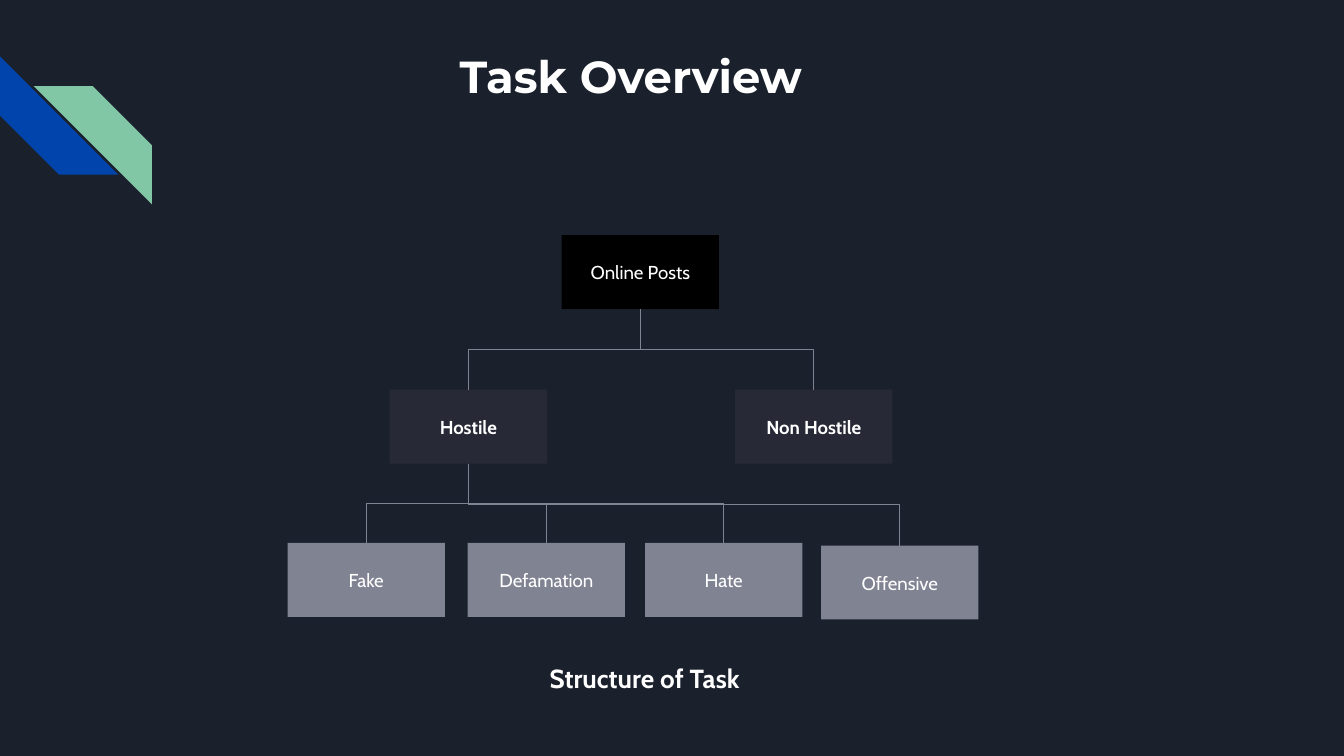
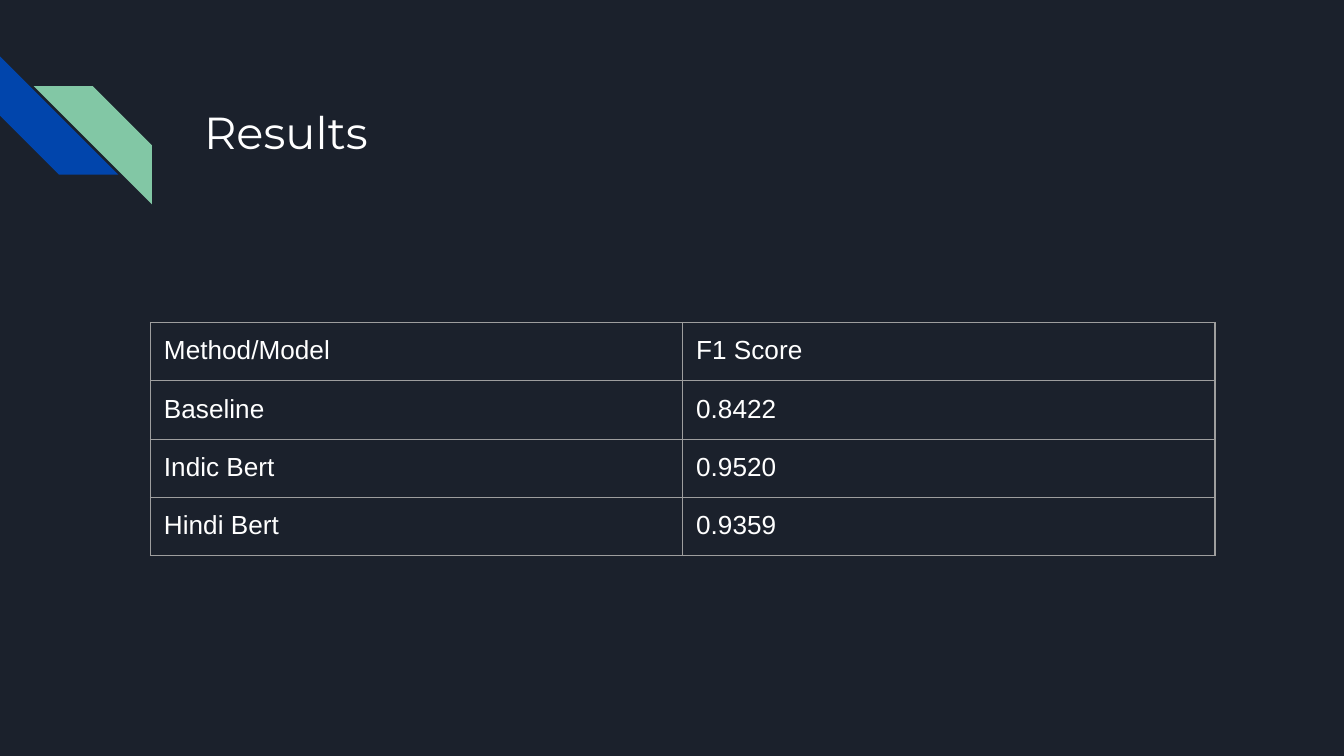
import pptx
import pptx.util
import pptx.dml.color
import pptx.enum.shapes
import pptx.enum.text
import pptx.oxml
import pptx.oxml.ns

Inches = pptx.util.Inches
Pt = pptx.util.Pt
SHAPE = pptx.enum.shapes.MSO_SHAPE
qn = pptx.oxml.ns.qn

NAVY, BLUE, GREEN = "1B212C", "0145AC", "82C7A5"
WHITE, BLACK, SLATE, GREY = "FFFFFF", "000000", "272A36", "808392"
BORDER = "9E9E9E"


def rgb(color):
    return pptx.dml.color.RGBColor.from_string(color)


def add_text(shapes, text, x, y, w, h, font, size, bold=False, left=0.1, fill=None):
    """Add a text box, or a filled, centred rectangle when a fill is given."""
    box = (Inches(x), Inches(y), Inches(w), Inches(h))
    if fill:
        sp = shapes.add_shape(SHAPE.RECTANGLE, *box)
        sp.shadow.inherit = False
        sp.fill.solid()
        sp.fill.fore_color.rgb = rgb(fill)
        sp.line.fill.background()
    else:
        sp = shapes.add_textbox(*box)
    tf = sp.text_frame
    tf.word_wrap = True
    tf.margin_left = Inches(left)
    tf.margin_right = tf.margin_top = tf.margin_bottom = Inches(0.1)
    p = tf.paragraphs[0]
    p.text = text
    p.font.name, p.font.size, p.font.bold = font, Pt(size), bold
    p.font.color.rgb = rgb(WHITE)
    if fill:
        tf.vertical_anchor = pptx.enum.text.MSO_ANCHOR.MIDDLE
        p.alignment = pptx.enum.text.PP_ALIGN.CENTER
    return sp


prs = pptx.Presentation()
prs.slide_width, prs.slide_height = Inches(10), Inches(5.625)
background = prs.slide_master.background.fill
background.solid()
background.fore_color.rgb = rgb(NAVY)

# Shared parts: corner stripes and title
titles = [
    # text, x, y, w, h, bold, left inset
    ("Task Overview", 1.14, 0.26, 8.49, 1.17, True, 2.28),
    ("Results", 1.42, 0.68, 7.7, 1, False, 0.1),
]
slides = []
for text, x, y, w, h, bold, left in titles:
    s = prs.slides.add_slide(prs.slide_layouts[6])
    slides.append(s)
    for stripe_x, stripe_y, color in [(0, 0.42, BLUE), (0.25, 0.64, GREEN)]:
        sp = s.shapes.add_shape(SHAPE.DIAGONAL_STRIPE, Inches(stripe_x),
                                Inches(stripe_y), Inches(0.88), Inches(0.88))
        sp.shadow.inherit = False
        sp.fill.solid()
        sp.fill.fore_color.rgb = rgb(color)
        sp.line.fill.background()
        if color == BLUE:
            sp.rotation = 270
        else:
            sp._element.spPr.find(qn("a:xfrm")).set("flipH", "1")
    add_text(s.shapes, text, x, y, w, h, "Montserrat", 24, bold, left)
overview, results = slides

# Slide 1: tree of post classes
BOX_W, BOX_H = 1.17, 0.55
nodes = {
    # name: (x, y, fill, bold, parent)
    "Online Posts": (4.18, 1.75, BLACK, False, None),
    "Hostile": (2.9, 2.9, SLATE, True, "Online Posts"),
    "Non Hostile": (5.47, 2.9, SLATE, True, "Online Posts"),
    "Fake": (2.14, 4.04, GREY, False, "Hostile"),
    "Defamation": (3.48, 4.04, GREY, False, "Hostile"),
    "Hate": (4.8, 4.04, GREY, False, "Hostile"),
    "Offensive": (6.11, 4.06, GREY, False, "Hostile"),
}
for name, (x, y, fill, bold, parent) in nodes.items():
    add_text(overview.shapes, name, x, y, BOX_W, BOX_H, "Cabin", 10, bold, fill=fill)
    if parent is None:
        continue
    # An elbow turned by 90 degrees leaves the parent downwards
    parent_x, parent_y = nodes[parent][:2]
    dx, dy = x - parent_x, y - parent_y - BOX_H
    mid_x, mid_y = parent_x + BOX_W / 2 + dx / 2, y - dy / 2
    cxn = overview.shapes.add_connector(
        pptx.enum.shapes.MSO_CONNECTOR.ELBOW,
        Inches(mid_x - dy / 2), Inches(mid_y + dx / 2),
        Inches(mid_x + dy / 2), Inches(mid_y - dx / 2))
    cxn.line.color.rgb = rgb(GREY)
    cxn.line.width = Pt(0.75)
    spPr = cxn._element.spPr
    spPr.find(qn("a:xfrm")).set("rot", "5400000")
    spPr.append(pptx.oxml.parse_xml(
        f'<a:effectLst {pptx.oxml.ns.nsdecls("a")}/>'))

caption = add_text(overview.shapes, "Structure of Task", 2.97, 4.83, 3.86, 0.44,
                   "Cabin", 14, True, 1.12)
caption.text_frame.auto_size = pptx.enum.text.MSO_AUTO_SIZE.SHAPE_TO_FIT_TEXT

# Slide 2: table of scores
rows = [
    ("Method/Model", "F1 Score"),
    ("Baseline", "0.8422"),
    ("Indic Bert", "0.9520"),
    ("Hindi Bert", "0.9359"),
]
table = results.shapes.add_table(len(rows), 2, Inches(1.12), Inches(2.4),
                                 Inches(7.92), Inches(0.42 * len(rows))).table
table.first_row = table.horz_banding = False
for i, row in enumerate(rows):
    for j, text in enumerate(row):
        cell = table.cell(i, j)
        cell.margin_left = cell.margin_right = Inches(0.1)
        cell.margin_top = cell.margin_bottom = Inches(0.1)
        p = cell.text_frame.paragraphs[0]
        p.text = text
        p.font.name, p.font.size = "Arial", Pt(14)
        p.font.color.rgb = rgb(WHITE)
        tcPr = cell._tc.get_or_add_tcPr()
        for side in ("lnL", "lnR", "lnT", "lnB"):
            tcPr.append(pptx.oxml.parse_xml(
                f'<a:{side} {pptx.oxml.ns.nsdecls("a")} w="{Pt(0.75)}"><a:solidFill>'
                f'<a:srgbClr val="{BORDER}"/></a:solidFill></a:{side}>'))
        cell.fill.background()

prs.save("out.pptx")
